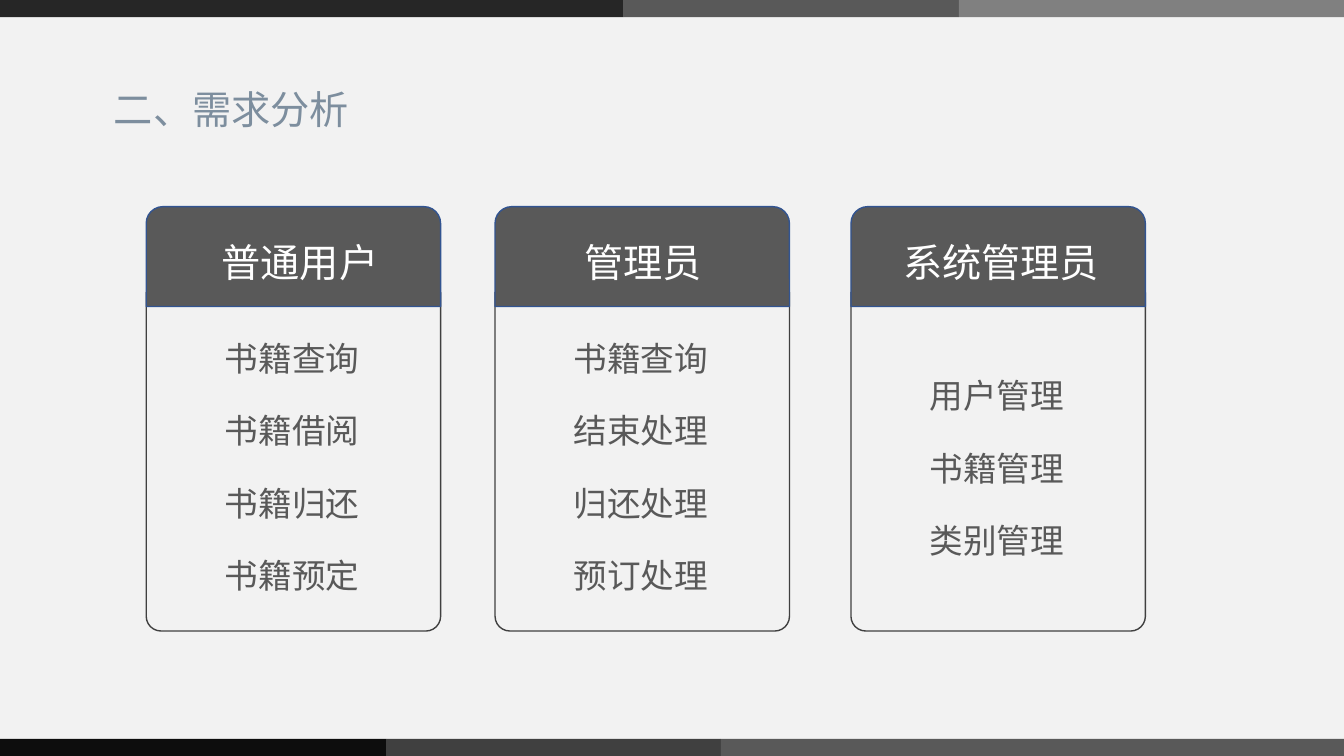
from dataclasses import dataclass

from lxml.etree import SubElement
from pptx import Presentation
from pptx.dml.color import RGBColor
from pptx.enum.shapes import MSO_SHAPE
from pptx.enum.text import MSO_ANCHOR, MSO_AUTO_SIZE, PP_ALIGN
from pptx.oxml.ns import qn
from pptx.util import Inches, Pt

TITLE = "二、需求分析"

# heading, card left, heading text left, list top, items
ROLES = [
    ("普通用户", 1.45, 2.1, 3.18, ["书籍查询", "书籍借阅", "书籍归还", "书籍预定"]),
    ("管理员", 4.91, 5.7, 3.18, ["书籍查询", "结束处理", "归还处理", "预订处理"]),
    ("系统管理员", 8.44, 8.86, 3.55, ["用户管理", "书籍管理", "类别管理"]),
]

# top, then (width, colour) from left to right
BANDS = [
    (0, [(6.18, "262626"), (3.33, "595959"), (3.82, "808080")]),
    (7.33, [(3.83, "0D0D0D"), (3.32, "404040"), (6.18, "595959")]),
]


@dataclass(frozen=True)
class Theme:
    paper: str = "F2F2F2"
    title: str = "7D8E9E"
    dark: str = "595959"
    white: str = "FFFFFF"
    card_line: str = "404040"
    header_line: str = "325491"
    latin_font: str = "Arial"
    font: str = "Noto Sans CJK SC"
    heading_size: int = 28
    list_size: int = 24


THEME = Theme()
BAND_HEIGHT = 0.17
CARD_WIDTH = 2.92
LIST_INSET = 0.68
FIRST_SPACING, NEXT_SPACING = 1.3, 1.8


def place(shape, left, top, width, height):
    shape.left, shape.top = Inches(left), Inches(top)
    shape.width, shape.height = Inches(width), Inches(height)


def add_block(slide, kind, box, fill, line=None):
    shape = slide.shapes.add_shape(kind, *map(Inches, box))
    shape.shadow.inherit = False
    shape.fill.solid()
    shape.fill.fore_color.rgb = RGBColor.from_string(fill)
    if line:
        shape.line.color.rgb = RGBColor.from_string(line)
        shape.line.width = Pt(1)
    else:
        shape.line.fill.background()
    return shape


def write(shape, lines, size, color, font=THEME.font):
    """Fill a text shape with unbulleted lines, the first one set tighter."""
    frame = shape.text_frame
    frame.word_wrap = True
    frame.auto_size = MSO_AUTO_SIZE.NONE
    frame.vertical_anchor = MSO_ANCHOR.TOP
    frame.text = "\n".join(lines)
    for index, paragraph in enumerate(frame.paragraphs):
        paragraph.alignment = PP_ALIGN.LEFT
        paragraph.line_spacing = NEXT_SPACING if index else FIRST_SPACING
        paragraph.space_before = paragraph.space_after = Pt(0)
        properties = paragraph._p.get_or_add_pPr()
        properties.set("marL", "0")
        properties.set("indent", "0")
        SubElement(properties, qn("a:buNone"))
        for run in paragraph.runs:
            run.font.name = font
            run.font.size = Pt(size)
            run.font.bold = False
            run.font.color.rgb = RGBColor.from_string(color)
            east_asian = SubElement(run.font._element, qn("a:ea"))
            east_asian.set("typeface", THEME.font)


def bring_to_front(slide, shape):
    slide.shapes._spTree.append(shape._element)


def add_bands(slide):
    for top, segments in BANDS:
        left = 0
        for width, color in segments:
            add_block(slide, MSO_SHAPE.RECTANGLE, (left, top, width, BAND_HEIGHT), color)
            left += width


def add_role(slide, list_placeholder, role):
    heading, left, heading_left, list_top, items = role
    card = add_block(slide, MSO_SHAPE.ROUND_2_SAME_RECTANGLE,
                     (left, 2.9, CARD_WIDTH, 3.36), THEME.paper, THEME.card_line)
    card.rotation = 180
    card.adjustments[0] = 0.05
    add_block(slide, MSO_SHAPE.ROUND_2_SAME_RECTANGLE,
              (left, 2.05, CARD_WIDTH, 0.99), THEME.dark, THEME.header_line)
    label = slide.shapes.add_textbox(*map(Inches, (heading_left, 2.18, 2.28, 0.71)))
    write(label, [heading], THEME.heading_size, THEME.white)
    place(list_placeholder, left + LIST_INSET, list_top, 1.58, 0.72 * len(items) - 0.08)
    write(list_placeholder, items, THEME.list_size, THEME.dark)
    bring_to_front(slide, list_placeholder)


def main():
    presentation = Presentation()
    presentation.slide_width, presentation.slide_height = Inches(13.33), Inches(7.5)
    comparison_layout = presentation.slide_layouts[4]
    slide = presentation.slides.add_slide(comparison_layout)
    slide.background.fill.solid()
    slide.background.fill.fore_color.rgb = RGBColor.from_string(THEME.paper)

    title, *bodies = list(slide.placeholders)
    add_bands(slide)
    place(title, 1.03, 0.66, 5.41, 1.15)
    write(title, [TITLE], THEME.heading_size, THEME.title, font=THEME.latin_font)
    for body, role in zip(bodies, ROLES):
        add_role(slide, body, role)
    for spare in bodies[len(ROLES):]:
        slide.shapes._spTree.remove(spare._element)
    presentation.save("out.pptx")


if __name__ == "__main__":
    main()
